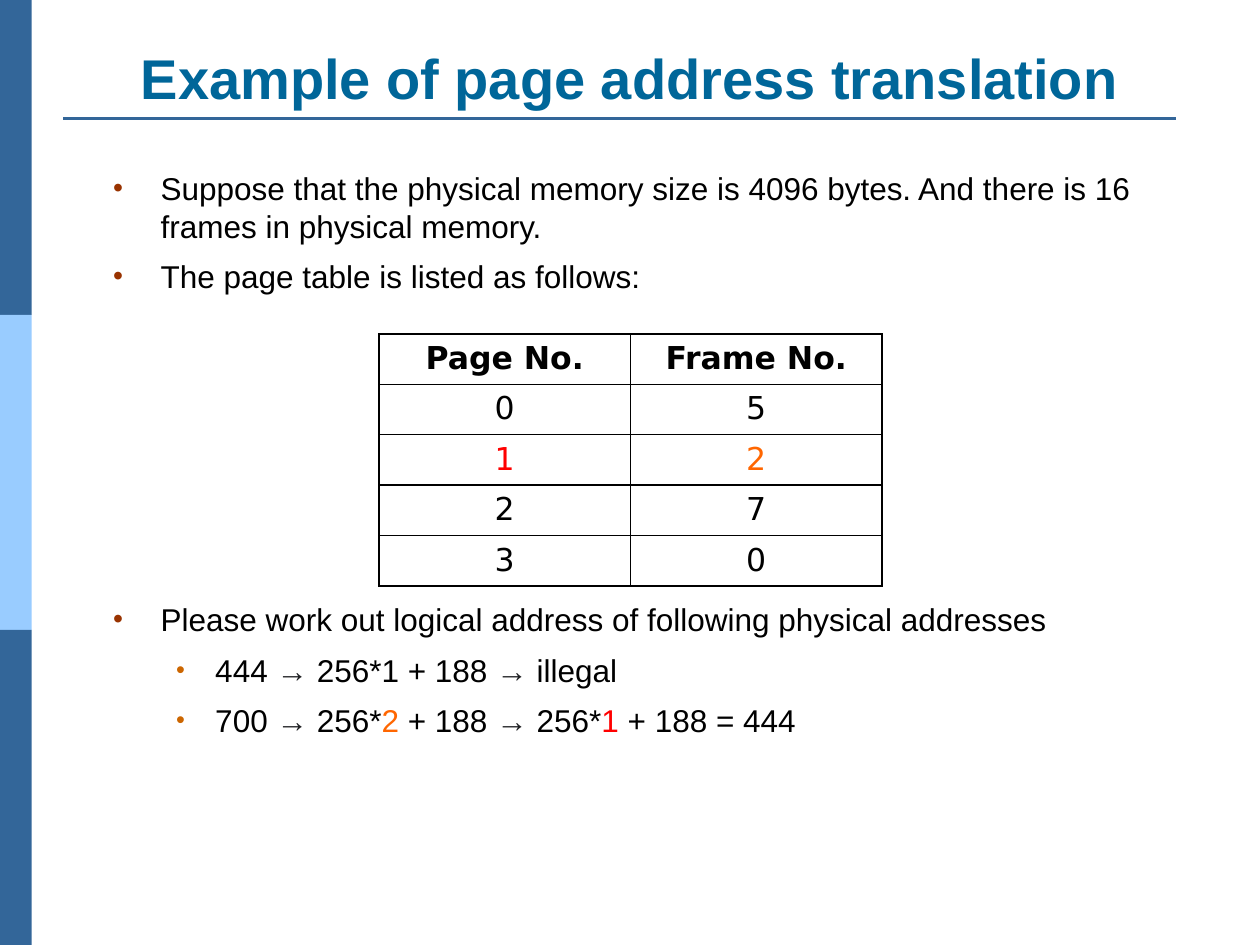
import pptx
import pptx.dml.color
import pptx.enum.shapes
import pptx.enum.text
import pptx.oxml
import pptx.oxml.ns
import pptx.util
from lxml import etree

Cm = pptx.util.Cm
Pt = pptx.util.Pt
RGBColor = pptx.dml.color.RGBColor
PP_ALIGN = pptx.enum.text.PP_ALIGN
MSO_ANCHOR = pptx.enum.text.MSO_ANCHOR
qn = pptx.oxml.ns.qn

BLACK = RGBColor(0x00, 0x00, 0x00)
WHITE = RGBColor(0xFF, 0xFF, 0xFF)
NAVY = RGBColor(0x33, 0x66, 0x99)
SKY = RGBColor(0x99, 0xCC, 0xFF)
TEAL = RGBColor(0x00, 0x66, 0x99)
RED = RGBColor(0xFF, 0x00, 0x00)
ORANGE = RGBColor(0xFF, 0x66, 0x00)
ARROW_GRAY = RGBColor(0x20, 0x21, 0x24)
BROWN = RGBColor(0x99, 0x33, 0x00)
OCHRE = RGBColor(0xCC, 0x66, 0x00)

BULLETS = [
    {"margin": Cm(0.96), "hanging": Cm(0.96), "color": BROWN, "percent": 90},
    {"margin": Cm(2.06), "hanging": Cm(0.79), "color": OCHRE, "percent": 80},
]


def write(paragraph, text, font="Arial", size=18, color=BLACK, bold=False):
    run = paragraph.add_run()
    run.text = text
    run.font.name = font
    run.font.size = Pt(size)
    run.font.color.rgb = color
    run.font.bold = bold


def add_bullet(paragraph, level):
    bullet = BULLETS[level]
    paragraph.level = level
    properties = paragraph._p.get_or_add_pPr()
    properties.set("marL", str(bullet["margin"]))
    properties.set("indent", str(-bullet["hanging"]))
    color = etree.SubElement(properties, qn("a:buClr"))
    etree.SubElement(color, qn("a:srgbClr"), val=str(bullet["color"]))
    etree.SubElement(properties, qn("a:buSzPct"), val=str(bullet["percent"] * 1000))
    etree.SubElement(properties, qn("a:buFont"), typeface="Arial")
    etree.SubElement(properties, qn("a:buChar"), char="•")


def add_borders(cell):
    properties = cell._tc.get_or_add_tcPr()
    for index, side in enumerate(("a:lnL", "a:lnR", "a:lnT", "a:lnB")):
        border = etree.Element(qn(side), w=str(Pt(1)))
        fill = etree.SubElement(border, qn("a:solidFill"))
        etree.SubElement(fill, qn("a:srgbClr"), val=str(BLACK))
        properties.insert(index, border)


class SlideBuilder:
    def __init__(self, slide):
        self.slide = slide
        self.table_font = "DejaVu Sans"

    def title(self, text, left, top, width, height):
        shape = self.slide.shapes.title
        shape.left, shape.top, shape.width, shape.height = left, top, width, height
        shape.text_frame.vertical_anchor = MSO_ANCHOR.BOTTOM
        paragraph = shape.text_frame.paragraphs[0]
        paragraph.alignment = PP_ALIGN.CENTER
        write(paragraph, text, size=32, color=TEAL, bold=True)

    def block(self, left, top, width, height, color):
        shape = self.slide.shapes.add_shape(
            pptx.enum.shapes.MSO_SHAPE.RECTANGLE, left, top, width, height)
        shape.shadow.inherit = False
        shape.fill.solid()
        shape.fill.fore_color.rgb = color
        shape.line.fill.background()

    def rule(self, left, right, y):
        connector = self.slide.shapes.add_connector(
            pptx.enum.shapes.MSO_CONNECTOR.STRAIGHT, left, y, right, y)
        connector.line.color.rgb = NAVY
        connector.line.width = Pt(1.5)
        etree.SubElement(connector._element.spPr, qn("a:effectLst"))

    def bullets(self, items, left, top, width, height):
        frame = self.slide.shapes.add_textbox(left, top, width, height).text_frame
        frame.word_wrap = True
        for index, (level, space, runs) in enumerate(items):
            paragraph = frame.add_paragraph() if index else frame.paragraphs[0]
            paragraph.space_before = Pt(space)
            add_bullet(paragraph, level)
            for text, color in runs:
                write(paragraph, text, color=color)

    def table(self, rows, highlights, left, top, column_width, row_height):
        table = self.slide.shapes.add_table(
            len(rows), len(rows[0]), left, top,
            column_width * len(rows[0]), row_height * len(rows)).table
        for column in table.columns:
            column.width = column_width
        for row_index, values in enumerate(rows):
            table.rows[row_index].height = row_height
            for column_index, value in enumerate(values):
                cell = table.cell(row_index, column_index)
                cell.fill.solid()
                cell.fill.fore_color.rgb = WHITE
                add_borders(cell)
                paragraph = cell.text_frame.paragraphs[0]
                paragraph.alignment = PP_ALIGN.CENTER
                write(paragraph, value, font=self.table_font, bold=row_index == 0,
                      color=highlights.get((row_index, column_index), BLACK))


def main():
    presentation = pptx.Presentation()
    presentation.slide_width = Cm(25.4)
    presentation.slide_height = Cm(19.05)
    builder = SlideBuilder(presentation.slides.add_slide(presentation.slide_layouts[5]))

    band_height = Cm(6.35)
    for index, color in enumerate((NAVY, SKY, NAVY)):
        builder.block(0, band_height * index, Cm(0.64), band_height, color)
    builder.rule(Cm(1.27), Cm(23.7), Cm(2.39))
    builder.title("Example of page address translation",
                  Cm(1.27), Cm(0.76), Cm(22.86), Cm(1.6))

    arrow = ("→", ARROW_GRAY)
    builder.bullets([
        (0, 0, [("Suppose that the physical memory size is 4096 bytes. "
                 "And there is 16 frames in physical memory.", BLACK)]),
        (0, 7.2, [("The page table is listed as follows:", BLACK)]),
        (0, 174.5, [("Please work out logical address of following physical addresses",
                     BLACK)]),
        (1, 7.2, [("444 ", BLACK), arrow, (" 256*1 + 188 ", BLACK), arrow,
                  (" illegal", BLACK)]),
        (1, 7.2, [("700 ", BLACK), arrow, (" 256*", BLACK), ("2", ORANGE),
                  (" + 188 ", BLACK), arrow, (" 256*", BLACK), ("1", RED),
                  (" + 188 = 444", BLACK)]),
    ], Cm(2.03), Cm(3.28), Cm(22.86), Cm(12.57))

    builder.table(
        [("Page No.", "Frame No."), ("0", "5"), ("1", "2"), ("2", "7"), ("3", "0")],
        {(2, 0): RED, (2, 1): ORANGE},
        Cm(7.64), Cm(6.73), Cm(5.07), Cm(0.99))

    presentation.save("out.pptx")


if __name__ == "__main__":
    main()
